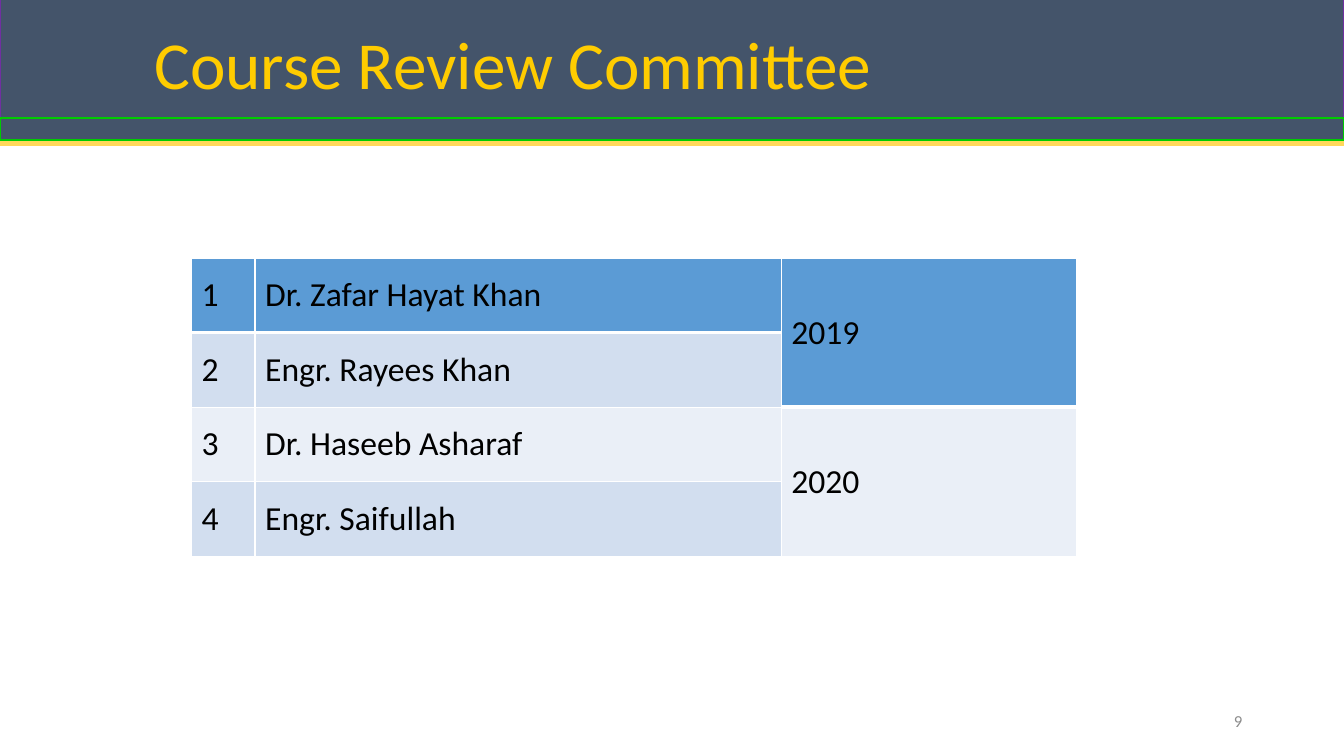
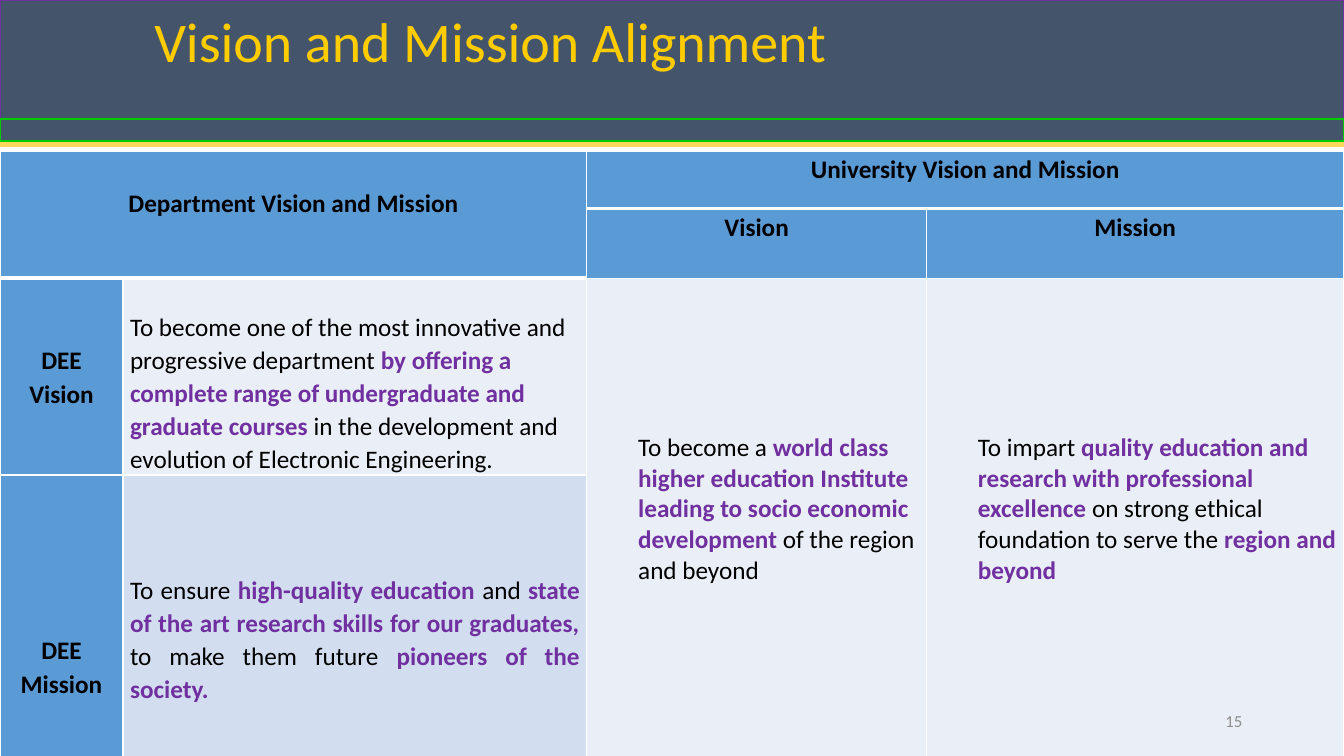
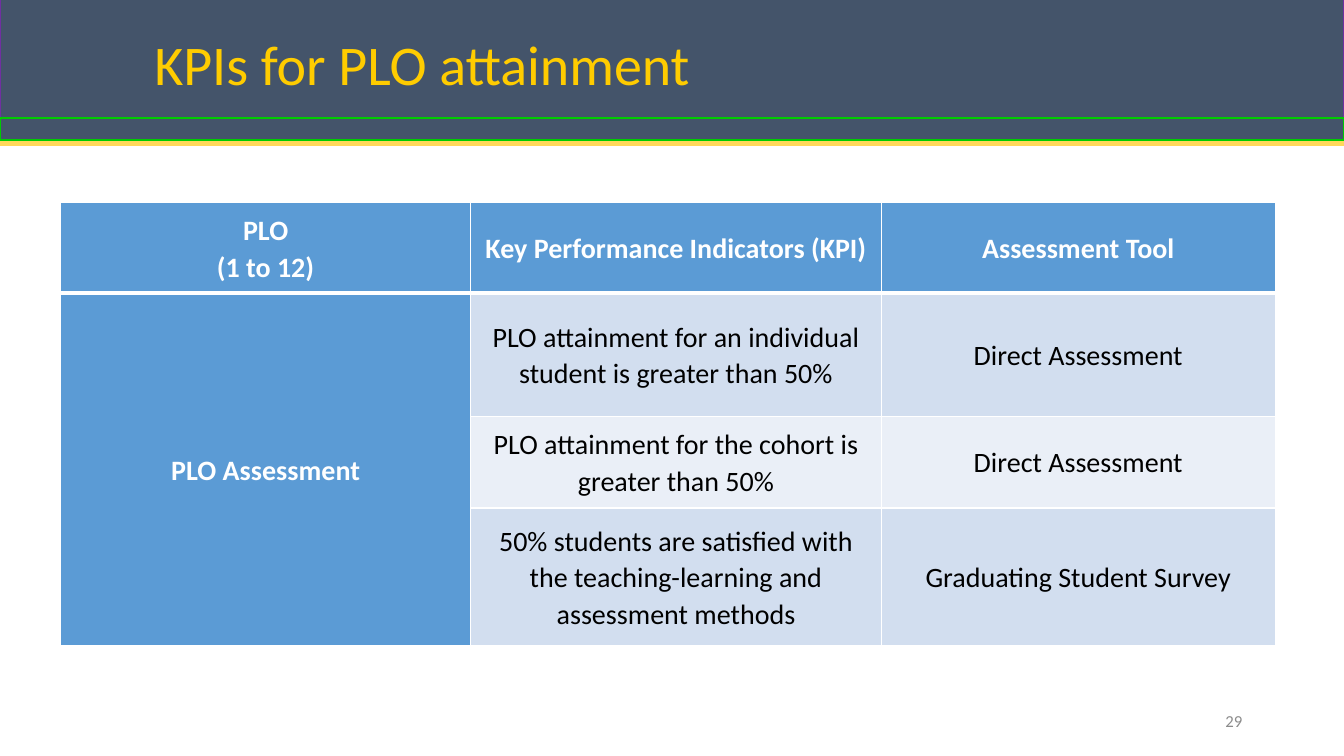
from dataclasses import dataclass
from functools import partial

from lxml.etree import SubElement
from pptx import Presentation
from pptx.dml.color import RGBColor
from pptx.enum.shapes import MSO_CONNECTOR, MSO_SHAPE
from pptx.enum.text import MSO_ANCHOR, MSO_AUTO_SIZE, PP_ALIGN
from pptx.oxml.ns import qn
from pptx.util import Inches, Pt

FONT = "Calibri"
WIDTH, HEIGHT = 13.33, 7.5
COLORS = {
    "band": "44546A", "band edge": "7030A0", "strip edge": "00CC00",
    "rule": "FFD85B", "title": "FFCC00", "number": "8C8C8C",
    "header": "5B9BD5", "dark row": "D2DEEF", "light row": "EAEFF7",
    "accent": "7030A0", "black": "000000", "white": "FFFFFF",
}


@dataclass
class Cell:
    """A table cell; text between asterisks is bold and accented."""
    row: int
    column: int
    text: str
    fill: str
    size: int = 18
    color: str = "black"
    bold: bool = False
    rows: int = 1
    columns: int = 1
    align: PP_ALIGN = PP_ALIGN.LEFT
    anchor: MSO_ANCHOR = MSO_ANCHOR.MIDDLE
    spacing: float = 1.0
    left: float = 0.07
    right: float = 0.07
    top: float = 0
    bottom: float = 0
    thick_bottom: bool = False


@dataclass
class Page:
    title: str
    title_size: int
    title_top: float
    band_top: float
    number: int
    table_left: float
    table_top: float
    widths: list[float]
    heights: list[float]
    cells: list[Cell]


def rgb(name: str) -> RGBColor:
    return RGBColor.from_string(COLORS[name])


def set_font(font, size: float, color: str, bold: bool = False) -> None:
    font.name, font.size, font.bold = FONT, Pt(size), bold
    font.color.rgb = rgb(color)


# Shared parts: band, title and page number
def add_bar(page, top: float, height: float, edge: str) -> None:
    bar = page.shapes.add_shape(MSO_SHAPE.RECTANGLE, 0, Inches(top),
                                Inches(WIDTH), Inches(height))
    bar.shadow.inherit = False
    bar.fill.solid()
    bar.fill.fore_color.rgb = rgb("band")
    bar.line.color.rgb = rgb(edge)
    bar.line.width = Pt(1)


def add_band(page, top: float) -> None:
    level = Inches(top + 1.43)
    rule = page.shapes.add_connector(MSO_CONNECTOR.STRAIGHT, 0, level,
                                     Inches(WIDTH), level)
    rule.line.color.rgb = rgb("rule")
    rule.line.width = Pt(3.75)
    SubElement(rule._element.spPr, qn("a:effectLst"))
    add_bar(page, top, 1.2, "band edge")
    add_bar(page, top + 1.18, 0.22, "strip edge")


def set_title(page, text: str, size: int, top: float) -> None:
    title = page.shapes.title
    title.left, title.top = Inches(1.43), Inches(top)
    title.width, title.height = Inches(10.73), Inches(1.06)
    page.shapes._spTree.append(title._element)  # in front of the band
    frame = title.text_frame
    frame.text = text
    frame.auto_size = MSO_AUTO_SIZE.NONE
    frame.vertical_anchor = MSO_ANCHOR.MIDDLE
    para = frame.paragraphs[0]
    para.alignment = PP_ALIGN.LEFT
    para.line_spacing = 0.9
    set_font(para.font, size, "title")


def add_number(page, number: int) -> None:
    box = page.shapes.add_textbox(Inches(9.42), Inches(6.95),
                                  Inches(3), Inches(0.4))
    frame = box.text_frame
    frame.word_wrap = True
    frame.vertical_anchor = MSO_ANCHOR.MIDDLE
    para = frame.paragraphs[0]
    para.text = str(number)
    para.alignment = PP_ALIGN.RIGHT
    set_font(para.font, 12, "number")


# Tables
def add_borders(target, first_row: bool, thick_bottom: bool) -> None:
    widths = {"a:lnL": 1, "a:lnR": 1}
    if first_row:
        widths["a:lnT"] = 1
    widths["a:lnB"] = 3 if thick_bottom else 1
    properties = target._tc.get_or_add_tcPr()
    for tag, width in widths.items():
        line = SubElement(properties, qn(tag), w=str(Pt(width)))
        fill = SubElement(line, qn("a:solidFill"))
        SubElement(fill, qn("a:srgbClr"), val=COLORS["white"])


def fill_cell(table, cell: Cell) -> None:
    last_row = cell.row + cell.rows - 1
    last_column = cell.column + cell.columns - 1
    for row in range(cell.row, last_row + 1):
        for column in range(cell.column, last_column + 1):
            part = table.cell(row, column)
            add_borders(part, row == 0, cell.thick_bottom)
            part.fill.solid()
            part.fill.fore_color.rgb = rgb(cell.fill)
    target = table.cell(cell.row, cell.column)
    if cell.rows * cell.columns > 1:
        target.merge(table.cell(last_row, last_column))
    target.vertical_anchor = cell.anchor
    target.margin_left, target.margin_right = Inches(cell.left), Inches(cell.right)
    target.margin_top, target.margin_bottom = Inches(cell.top), Inches(cell.bottom)
    frame = target.text_frame
    for index, line in enumerate(cell.text.split("\n")):
        para = frame.add_paragraph() if index else frame.paragraphs[0]
        para.alignment = cell.align
        para.line_spacing = cell.spacing
        set_font(para.font, cell.size, cell.color, cell.bold)
        for position, text in enumerate(line.split("*")):
            if text:
                span = para.add_run()
                span.text = text
                accented = position % 2 == 1
                set_font(span.font, cell.size,
                         "accent" if accented else cell.color,
                         accented or cell.bold)


def add_table(page, content: Page) -> None:
    frame = page.shapes.add_table(
        len(content.heights), len(content.widths),
        Inches(content.table_left), Inches(content.table_top),
        Inches(sum(content.widths)), Inches(sum(content.heights)))
    table = frame.table
    table.first_row = table.horz_banding = False
    for column, width in zip(table.columns, content.widths):
        column.width = Inches(width)
    for row, height in zip(table.rows, content.heights):
        row.height = Inches(height)
    for cell in content.cells:
        fill_cell(table, cell)


# Cell styles
Member = partial(Cell, size=24, left=0.1, right=0.1, top=0.05, bottom=0.05)
Heading = partial(Cell, fill="header", bold=True, align=PP_ALIGN.CENTER,
                  anchor=MSO_ANCHOR.TOP, spacing=1.11)
Statement = partial(Cell, anchor=MSO_ANCHOR.TOP, spacing=1.07)
University = partial(Cell, row=2, fill="light row", rows=2,
                     anchor=MSO_ANCHOR.TOP, left=0.51, top=1.53)
Indicator = partial(Cell, size=20, align=PP_ALIGN.CENTER, spacing=1.07)
IndicatorHeading = partial(Indicator, fill="header", color="white", bold=True)

# Content
MEMBERS = ["Dr. Zafar Hayat Khan", "Engr. Rayees Khan",
           "Dr. Haseeb Asharaf", "Engr. Saifullah"]
MEMBER_FILLS = ["header", "dark row", "light row", "dark row"]
committee_cells = [
    Member(row, column, text, MEMBER_FILLS[row], thick_bottom=row == 0)
    for row, name in enumerate(MEMBERS)
    for column, text in enumerate([str(row + 1), name])
] + [
    Member(0, 2, "2019", "header", rows=2, thick_bottom=True),
    Member(2, 2, "2020", "light row", rows=2),
]

alignment_cells = [
    Heading(0, 0, "Department Vision and Mission", rows=2, columns=2,
            top=0.34, thick_bottom=True),
    Heading(0, 2, "University Vision and Mission", columns=2,
            thick_bottom=True),
    Heading(1, 2, "Vision"),
    Heading(1, 3, "Mission"),
    Heading(2, 0, "DEE Vision", anchor=MSO_ANCHOR.MIDDLE),
    Statement(2, 1, "To become one of the most innovative and progressive "
              "department *by offering a complete range of undergraduate and "
              "graduate courses *in the development and evolution of "
              "Electronic Engineering.", "light row", top=0.32),
    University(column=2, text="To become a *world class higher education "
               "Institute leading to socio economic development *of the "
               "region and beyond"),
    University(column=3, text="To impart *quality education and research "
               "with professional excellence *on strong ethical foundation "
               "to serve the *region and beyond*"),
    Heading(3, 0, "DEE Mission", top=1.56),
    Statement(3, 1, "To ensure *high-quality education *and *state of the art "
              "research skills for our graduates, *to make them future "
              "*pioneers of the society.*", "dark row", top=0.98,
              align=PP_ALIGN.JUSTIFY),
]

INDICATORS = [
    ("PLO attainment for an individual student is greater than 50%",
     "Direct Assessment"),
    ("PLO attainment for the cohort is greater than 50%",
     "Direct Assessment"),
    ("50% students are satisfied with the teaching-learning and assessment "
     "methods", "Graduating Student Survey"),
]
INDICATOR_HEADINGS = ["PLO\n(1 to 12)", "Key Performance Indicators (KPI)",
                      "Assessment Tool"]
indicator_cells = [
    IndicatorHeading(0, column, text, thick_bottom=True)
    for column, text in enumerate(INDICATOR_HEADINGS)
] + [IndicatorHeading(1, 0, "PLO Assessment", rows=3)] + [
    Indicator(row, column, text, "dark row" if row % 2 else "light row")
    for row, texts in enumerate(INDICATORS, start=1)
    for column, text in enumerate(texts, start=1)
]

PAGES = [
    Page("Course Review Committee", 48, 0.14, -0.01, 9, 1.9, 2.56,
         [0.63, 5.22, 2.93], [0.74] * 4, committee_cells),
    Page("Vision and Mission Alignment", 40, -0.09, 0, 15, 0, 1.5,
         [1.22, 4.6, 3.37, 4.14], [0.57, 0.69, 1.93, 2.81], alignment_cells),
    Page("KPIs for PLO attainment", 40, 0.14, -0.01, 29, 0.6, 2.01,
         [4.07, 4.07, 3.91], [0.9, 1.22, 0.91, 1.37], indicator_cells),
]


def main() -> None:
    deck = Presentation()
    deck.slide_width, deck.slide_height = Inches(WIDTH), Inches(HEIGHT)
    title_only = deck.slide_layouts[5]
    for content in PAGES:
        page = deck.slides.add_slide(title_only)
        add_band(page, content.band_top)
        set_title(page, content.title, content.title_size, content.title_top)
        add_table(page, content)
        add_number(page, content.number)
    deck.save("out.pptx")


if __name__ == "__main__":
    main()
